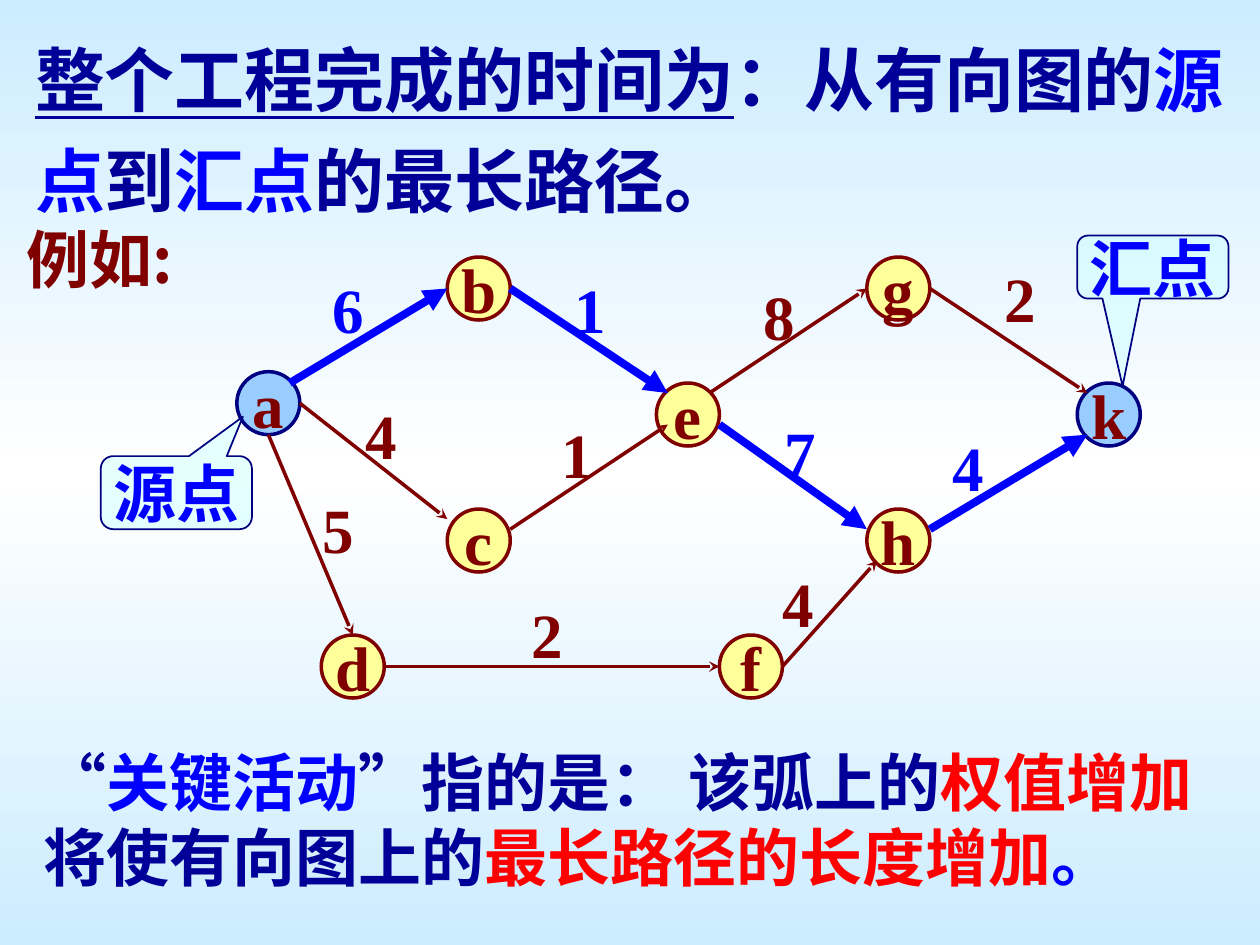
from copy import deepcopy
from lxml.etree import SubElement
from pptx import Presentation
from pptx.dml.color import RGBColor
from pptx.enum.shapes import MSO_CONNECTOR, MSO_SHAPE
from pptx.enum.text import MSO_ANCHOR, MSO_AUTO_SIZE, PP_ALIGN
from pptx.oxml.ns import qn
from pptx.util import Inches, Pt

SKY = RGBColor(0xCC, 0xEC, 0xFF)
WHITE = RGBColor(0xFF, 0xFF, 0xFF)
MAROON = RGBColor(0x80, 0x00, 0x00)
NAVY = RGBColor(0x00, 0x00, 0x80)
INK = RGBColor(0x00, 0x00, 0x99)
BLUE = RGBColor(0x00, 0x00, 0xFF)
RED = RGBColor(0xFF, 0x00, 0x00)
YELLOW = RGBColor(0xFF, 0xFF, 0x99)
PALE = RGBColor(0x99, 0xCC, 0xFF)
CYAN = RGBColor(0xCC, 0xFF, 0xFF)
SERIF = "Times New Roman"
SANS = "Noto Sans CJK SC"

deck = Presentation()
deck.slide_width = Inches(10)
deck.slide_height = Inches(7.5)
slide = deck.slides.add_slide(deck.slide_layouts[6])
shapes = slide.shapes

back = slide.background.fill
back.gradient()
back.gradient_angle = 90
stops = slide.element.find(".//" + qn("a:gsLst"))
stops.insert(1, deepcopy(stops[0]))
for stop, place, color in zip(back.gradient_stops, (0, 0.5, 1), (SKY, WHITE, SKY)):
    stop.position = place
    stop.color.rgb = color


def write(shape, text, color=MAROON, size=36, face=SERIF, wrap=False, grow=False,
          center=False, space=None):
    frame = shape.text_frame
    frame.word_wrap = wrap
    if grow:
        frame.auto_size = MSO_AUTO_SIZE.SHAPE_TO_FIT_TEXT
    para = frame.paragraphs[0]
    if center:
        frame.vertical_anchor = MSO_ANCHOR.MIDDLE
        para.alignment = PP_ALIGN.CENTER
    if space:
        para.line_spacing = space
    parts = [(text, color)] if isinstance(text, str) else text
    for words, tint, *line in parts:
        run = para.add_run()
        run.text = words
        font = run.font
        font.name = face
        font.size = Pt(size)
        font.bold = True
        font.underline = bool(line)
        font.color.rgb = tint
        SubElement(run._r.rPr, qn("a:ea")).set("typeface", SANS)


def add_box(kind, left, top, width, height, fill, edge, weight):
    shape = shapes.add_shape(kind, Inches(left), Inches(top), Inches(width), Inches(height))
    shape.shadow.inherit = False
    shape.fill.solid()
    shape.fill.fore_color.rgb = fill
    shape.line.color.rgb = edge
    shape.line.width = Pt(weight)
    return shape


nodes = [
    ("a", 1.88, 2.95), ("b", 3.55, 2.04), ("c", 3.55, 4.04),
    ("d", 2.55, 5.04), ("e", 5.21, 3.04), ("f", 5.71, 5.04),
    ("g", 6.88, 2.04), ("h", 6.88, 4.04), ("k", 8.55, 3.04),
]
for name, left, top in nodes:
    fill, edge = (PALE, NAVY) if name in "ak" else (YELLOW, MAROON)
    node = add_box(MSO_SHAPE.OVAL, left, top, 0.5, 0.5, fill, edge, 2)
    write(node, name, center=True)

edges = [
    ("4", 2.38, 3.2, 3.55, 4.12, 2.8, 3.1, False),
    ("1", 4.05, 4.2, 5.3, 3.37, 4.36, 3.25, False),
    ("8", 5.63, 3.12, 6.88, 2.29, 5.96, 2.15, False),
    ("2", 7.38, 2.29, 8.63, 3.12, 7.87, 2.01, False),
    ("5", 2.13, 3.45, 2.8, 5.04, 2.46, 3.84, False),
    ("2", 3.05, 5.29, 5.71, 5.29, 4.12, 4.68, False),
    ("4", 6.21, 5.29, 6.96, 4.45, 6.11, 4.43, False),
    ("6", 2.3, 3.04, 3.55, 2.29, 2.54, 2.1, True),
    ("1", 4.05, 2.29, 5.3, 3.12, 4.46, 2.1, True),
    ("7", 5.71, 3.37, 6.88, 4.2, 6.13, 3.23, True),
    ("4", 7.38, 4.2, 8.63, 3.45, 7.46, 3.35, True),
]
for cost, x1, y1, x2, y2, left, top, main in edges:
    color = BLUE if main else MAROON
    arc = shapes.add_connector(MSO_CONNECTOR.STRAIGHT, Inches(x1), Inches(y1),
                               Inches(x2), Inches(y2))
    arc.line.color.rgb = color
    arc.line.width = Pt(4.5 if main else 2)
    SubElement(arc.line._get_or_add_ln(), qn("a:tailEnd")).set(
        "type", "triangle" if main else "stealth")
    SubElement(arc._element.spPr, qn("a:effectLst"))
    label = shapes.add_textbox(Inches(left), Inches(top), Inches(0.45), Inches(0.7))
    write(label, cost, color=color, grow=True)

title = [
    ("整个工程完成的时间为", INK, True), ("：从有向图的", INK), ("源点", BLUE),
    ("到", INK), ("汇点", BLUE), ("的最长路径。", INK),
]
note = [
    ("“", INK), ("关键活动", BLUE), ("”指的是： 该弧上的", INK), ("权值增加", RED),
    ("将使有向图上的", INK), ("最长路径的长度增加", RED), ("。", BLUE),
]
blocks = [
    ("例如:", 0.11, 1.7, 1.57, 0.7, dict(face=SANS)),
    (title, 0.18, 0.11, 9.67, 1.7, dict(size=40, wrap=True, space=1.2)),
    (note, 0.25, 5.85, 9.52, 1.3, dict(face=SANS, wrap=True)),
]
for text, left, top, width, height, style in blocks:
    block = shapes.add_textbox(Inches(left), Inches(top), Inches(width), Inches(height))
    write(block, text, grow=True, **style)

calls = [
    ("源点", 0.8, 3.62, 0.58, (0.44, -1.04, 0.17)),
    ("汇点", 8.55, 1.87, 0.5, (-0.2, 1.89, 0.17)),
]
for text, left, top, height, bends in calls:
    call = add_box(MSO_SHAPE.ROUNDED_RECTANGULAR_CALLOUT, left, top, 1.2, height,
                   CYAN, NAVY, 1)
    for i, bend in enumerate(bends):
        call.adjustments[i] = bend
    tint = call._element.spPr.find(qn("a:solidFill")).find(qn("a:srgbClr"))
    SubElement(tint, qn("a:alpha")).set("val", "50000")
    write(call, text, color=BLUE, center=True)

deck.save("out.pptx")
